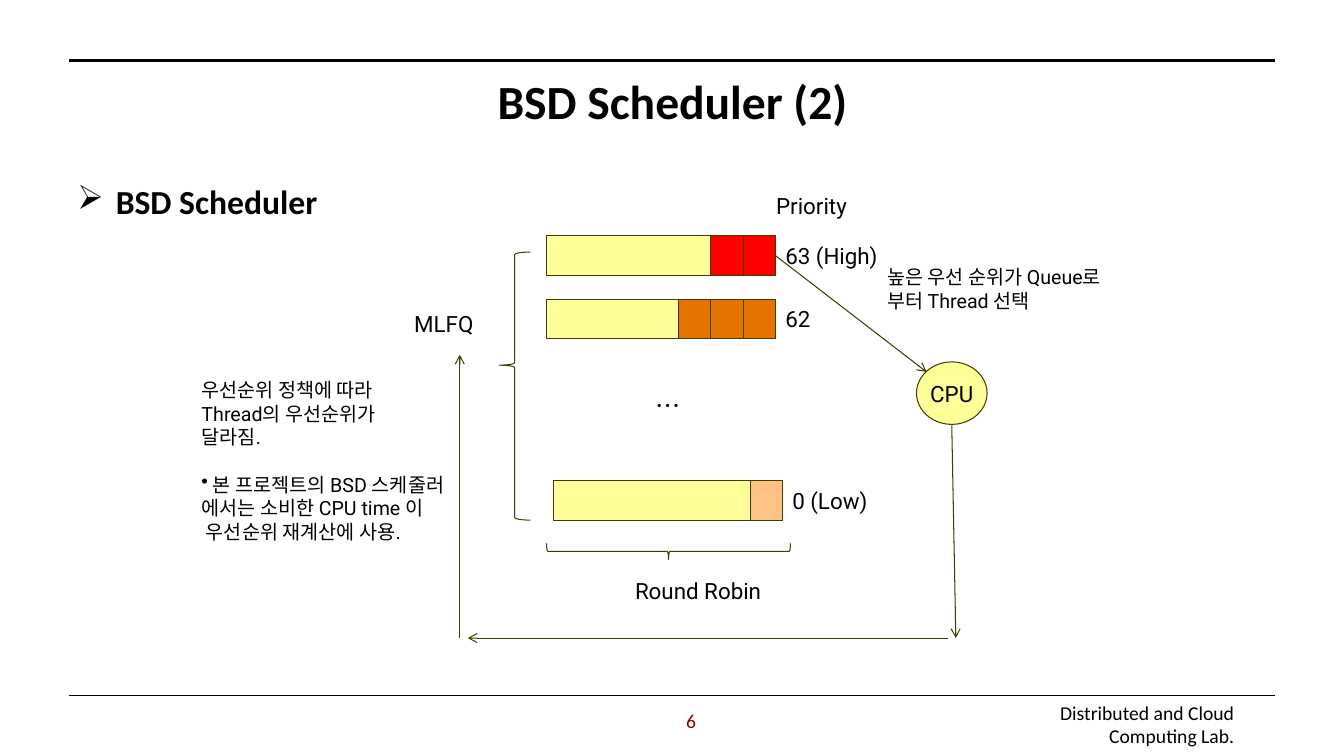
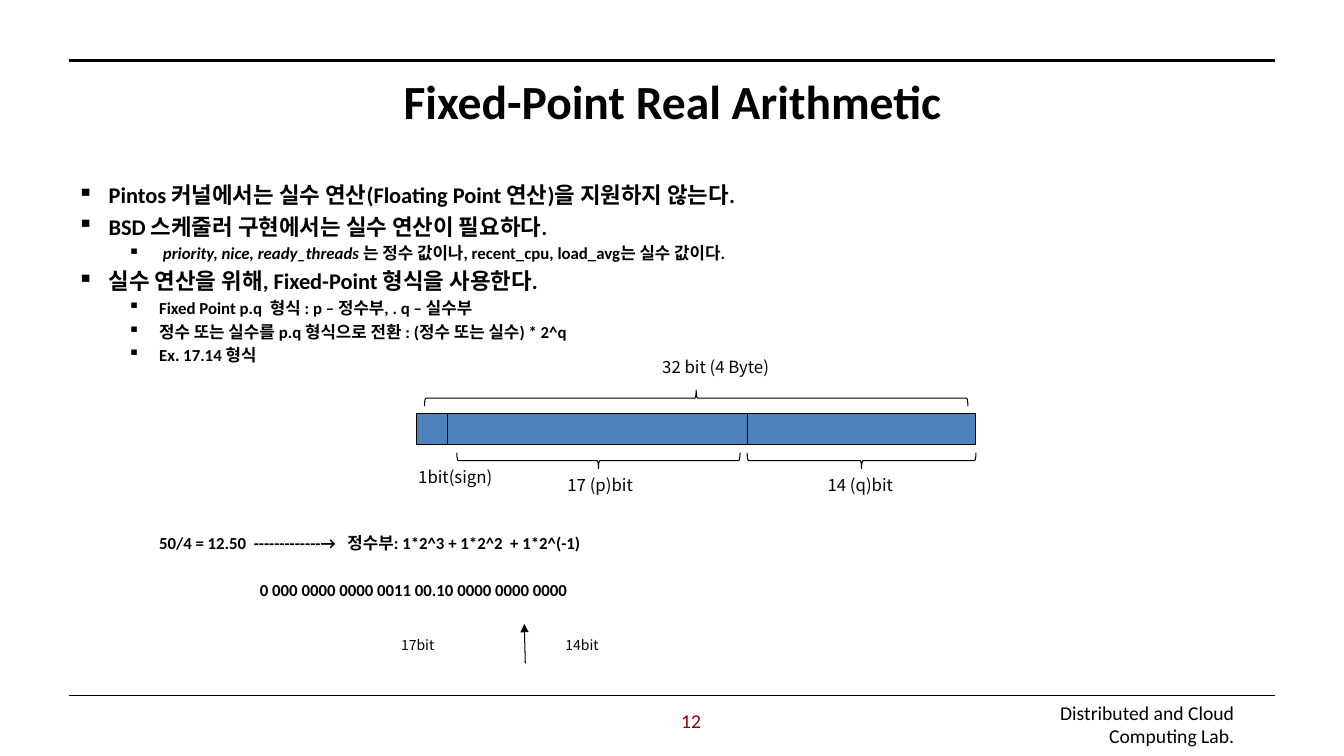
from dataclasses import dataclass

from lxml import etree
from pptx import Presentation
from pptx.dml.color import RGBColor
from pptx.enum.shapes import MSO_CONNECTOR, MSO_SHAPE
from pptx.enum.text import MSO_ANCHOR, PP_ALIGN
from pptx.oxml.ns import qn
from pptx.util import Inches, Pt

RECT, OVAL, BRACE = MSO_SHAPE.RECTANGLE, MSO_SHAPE.OVAL, MSO_SHAPE.RIGHT_BRACE
STRAIGHT = MSO_CONNECTOR.STRAIGHT
LEFT, CENTER, RIGHT = PP_ALIGN.LEFT, PP_ALIGN.CENTER, PP_ALIGN.RIGHT
TOP, MIDDLE = MSO_ANCHOR.TOP, MSO_ANCHOR.MIDDLE


@dataclass(frozen=True)
class Theme:
    head: str = "Calibri"
    label: str = "Roboto"
    korean: str = "Noto Sans CJK KR"
    black: str = "000000"
    ink: str = "020306"
    page: str = "8A0000"
    olive: str = "3F3E00"
    yellow: str = "FFFF99"
    red: str = "FF0000"
    orange: str = "E57300"
    peach: str = "FFC285"
    blue: str = "4F81BD"
    title_size: int = 34
    topic_size: int = 24
    dots_size: int = 18
    label_size: int = 16
    point_size: int = 16
    note_size: int = 14
    detail_size: int = 12
    small_size: int = 10
    hairline: float = 0.75


T = Theme()


def rgb(value):
    return RGBColor.from_string(value)


def style_run(r, size, font, color, bold=False):
    r.font.size = Pt(size)
    r.font.name = font
    r.font.bold = bold
    r.font.color.rgb = rgb(color)
    ea = etree.SubElement(r._r.get_or_add_rPr(), qn("a:ea"))
    ea.set("typeface", T.korean)


def set_bullet(p, char, margin=0, hanging=0):
    pPr = p._p.get_or_add_pPr()
    pPr.set("marL", str(Inches(margin)))
    pPr.set("indent", str(-Inches(hanging)))
    if char:
        color = etree.SubElement(pPr, qn("a:buClr"))
        etree.SubElement(color, qn("a:srgbClr")).set("val", T.black)
        etree.SubElement(pPr, qn("a:buChar")).set("char", char)


def write(tf, text, size, font, color=T.ink, bold=False, align=LEFT, anchor=MIDDLE):
    tf.word_wrap = True
    tf.vertical_anchor = anchor
    tf.text = text
    for p in tf.paragraphs:
        p.alignment = align
        for r in p.runs:
            style_run(r, size, font, color, bold)


def add_text(s, x, y, w, h, text, size, font, **style):
    tf = s.shapes.add_textbox(Inches(x), Inches(y), Inches(w), Inches(h)).text_frame
    write(tf, text, size, font, **style)
    return tf


def add_label(s, x, y, text, font=T.label, size=T.label_size, h=0.31):
    return add_text(s, x, y, 1.6, h, text, size, font)


def add_figure(s, kind, x, y, w, h, fill=None, line=T.olive):
    sp = s.shapes.add_shape(kind, Inches(x), Inches(y), Inches(w), Inches(h))
    sp.shadow.inherit = False
    if fill:
        sp.fill.solid()
        sp.fill.fore_color.rgb = rgb(fill)
    else:
        sp.fill.background()
    sp.line.color.rgb = rgb(line)
    sp.line.width = Pt(T.hairline)
    return sp


def add_brace(s, x, y, w, h, rotation, line=T.olive, tip=0.5):
    if rotation in (90, 270):
        x, y, w, h = x + (w - h) / 2, y + (h - w) / 2, h, w
    sp = add_figure(s, BRACE, x, y, w, h, line=line)
    sp.rotation = rotation
    sp.adjustments[0] = 0.083
    sp.adjustments[1] = tip


def add_line(s, x1, y1, x2, y2, color=T.black, width=T.hairline, head=None):
    line = s.shapes.add_connector(STRAIGHT, Inches(x1), Inches(y1), Inches(x2), Inches(y2))
    line.line.color.rgb = rgb(color)
    line.line.width = Pt(width)
    if head:
        ln = line.line._get_or_add_ln()
        etree.SubElement(ln, qn("a:tailEnd")).set("type", head)
    etree.SubElement(line._element.spPr, qn("a:effectLst"))
    return line


def new_slide(prs, title, number):
    s = prs.slides.add_slide(prs.slide_layouts[6])
    for y, width in ((0.6, 2.5), (6.9, 1)):
        add_line(s, 0.68, y, 12.65, y, width=width)
    add_text(s, 9.59, 6.9, 2.75, 0.47, "Distributed and Cloud Computing Lab.",
             T.note_size, T.head, color=T.black, align=RIGHT, anchor=TOP)
    add_text(s, 0.67, 0.68, 12, 0.63, title, T.title_size, T.head,
             color=T.black, bold=True, align=CENTER)
    add_text(s, 5.3, 6.95, 3.11, 0.4, str(number), T.note_size, T.head,
             color=T.page, align=CENTER)
    return s


def add_body(s, x, y, w, h, items, color=T.black):
    tf = s.shapes.add_textbox(Inches(x), Inches(y), Inches(w), Inches(h)).text_frame
    tf.word_wrap = True
    for i, (text, size, bullet, margin, hanging, gap) in enumerate(items):
        p = tf.paragraphs[0] if i == 0 else tf.add_paragraph()
        p.space_before = Pt(gap or size * 0.2)
        set_bullet(p, bullet, margin, hanging)
        for j, part in enumerate(text.split("|")):
            r = p.add_run()
            r.text = part
            style_run(r, size, T.head, color, bold=True)
            r.font.italic = j == 1


def add_queue(s, x, y, label, count, color):
    w, h, cell = 2.27, 0.39, 0.32
    add_figure(s, RECT, x, y, w, h, T.yellow)
    cells = [add_figure(s, RECT, x + w - cell * (i + 1), y, cell, h, color)
             for i in range(count)]
    add_label(s, x + w, y, label, h=h)
    return cells[0]


def add_scheduler(s, x, y):
    add_label(s, x + 5.7, y, "Priority")
    queues = (
        (3.52, 0.46, "63 (High)", 2, T.red),
        (3.52, 1.09, "62", 3, T.orange),
        (3.59, 2.89, "0 (Low)", 1, T.peach),
    )
    last_cells = [add_queue(s, x + dx, y + dy, *rest) for dx, dy, *rest in queues]
    add_text(s, x + 3.59, y + 1.95, 2.27, 0.39, "…", T.dots_size, T.korean, align=CENTER)
    add_brace(s, x + 3.52, y + 3.51, 2.42, 0.16, 90)
    add_label(s, x + 4.3, y + 3.82, "Round Robin")
    add_brace(s, x + 3.05, y + 0.62, 0.31, 2.66, 180, tip=0.578)
    add_label(s, x + 2.11, y + 1.17, "MLFQ")

    cpu = add_figure(s, OVAL, x + 7.19, y + 1.71, 0.7, 0.62, T.yellow)
    write(cpu.text_frame, "CPU", T.label_size, T.label, align=CENTER)
    cpu.text_frame.margin_left = cpu.text_frame.margin_right = 0
    cpu.text_frame.word_wrap = False

    arrows = [add_line(s, x + x1, y + y1, x + x2, y + y2, T.olive, head="arrow")
              for x1, y1, x2, y2 in (
                  (5.79, 0.66, 7.29, 1.81),
                  (7.54, 2.34, 7.58, 4.45),
                  (7.5, 4.45, 2.74, 4.45),
                  (2.66, 4.45, 2.66, 1.64))]
    arrows[0].begin_connect(last_cells[0], 3)

    add_text(s, x + 6.8, y + 0.83, 2.6, 0.31,
             "높은 우선 순위가 Queue로\n부터 Thread 선택", T.note_size, T.label)
    tf = add_text(s, x, y + 1.48, 3.05, 2.42,
                  "우선순위 정책에 따라\nThread의 우선순위가\n달라짐.\n"
                  " 본 프로젝트의 BSD 스케줄러\n에서는 소비한 CPU time 이\n"
                  " 우선순위 재계산에 사용.", T.note_size, T.label)
    p = tf.paragraphs[3]
    p.space_before = Pt(17)
    set_bullet(p, "•")


def add_bit_layout(s, x, y):
    add_figure(s, RECT, x + 0.08, y + 0.62, 5.55, 0.31, T.blue, T.black)
    for dx in (0.39, 3.36):
        add_line(s, x + dx, y + 0.62, x + dx, y + 0.93)
    for dx, dy, w, rotation in ((0.16, 0.39, 5.39, 270), (0.48, 1.01, 2.81, 90),
                                (3.36, 1.01, 2.27, 90)):
        add_brace(s, x + dx, y + dy, w, 0.16, rotation, T.black)
    for dx, dy, text in ((2.42, 0, "32 bit (4 Byte)"), (0, 1.09, "1bit(sign)"),
                         (1.48, 1.17, "17 (p)bit"), (4.06, 1.17, "14 (q)bit")):
        add_label(s, x + dx, y + dy, text, T.korean, T.detail_size)


def add_point_marker(s, x, y):
    for dx, text in ((0, "17bit"), (1.63, "14bit")):
        add_label(s, x + dx, y + 0.1, text, T.korean, T.small_size, h=0.22)
    add_line(s, x + 1.33, y + 0.39, x + 1.32, y, head="triangle")


def scheduler_slide(prs):
    s = new_slide(prs, "BSD Scheduler (2)", 6)
    topic = ("BSD Scheduler", T.topic_size, "➢", 0.38, 0.38, None)
    add_body(s, 0.67, 1.75, 12, 4.95, [topic], T.ink)
    add_scheduler(s, 1.9, 1.88)


def fixed_point_slide(prs):
    def point(text):
        return text, T.point_size, "▪", 0.31, 0.31, None

    def detail(text):
        return text, T.detail_size, "▪", 0.81, 0.31, None

    def example(text, margin, gap):
        return text, T.detail_size, None, margin, 0, gap

    s = new_slide(prs, "Fixed-Point Real Arithmetic", 12)
    add_body(s, 0.67, 1.75, 12, 4.95, [
        point("Pintos 커널에서는 실수 연산(Floating Point 연산)을 지원하지 않는다."),
        point("BSD 스케줄러 구현에서는 실수 연산이 필요하다."),
        detail(" |priority, nice, ready_threads |는 정수 값이나, recent_cpu, load_avg는 실수 값이다."),
        point("실수 연산을 위해, Fixed-Point 형식을 사용한다."),
        detail("Fixed Point p.q  형식 : p – 정수부, . q – 실수부"),
        detail("정수 또는 실수를 p.q 형식으로 전환 : (정수 또는 실수) * 2^q"),
        detail("Ex. 17.14 형식"),
        example("50/4 = 12.50  -------------→   정수부: 1*2^3 + 1*2^2  + 1*2^(-1)", 0.81, 120),
        example("0 000 0000 0000 0011 00.10 0000 0000 0000", 1.81, 19),
    ])
    add_bit_layout(s, 4.05, 3.48)
    add_point_marker(s, 3.88, 6.19)


def main():
    prs = Presentation()
    prs.slide_width, prs.slide_height = Inches(13.33), Inches(7.5)
    scheduler_slide(prs)
    fixed_point_slide(prs)
    prs.save("out.pptx")


if __name__ == "__main__":
    main()
